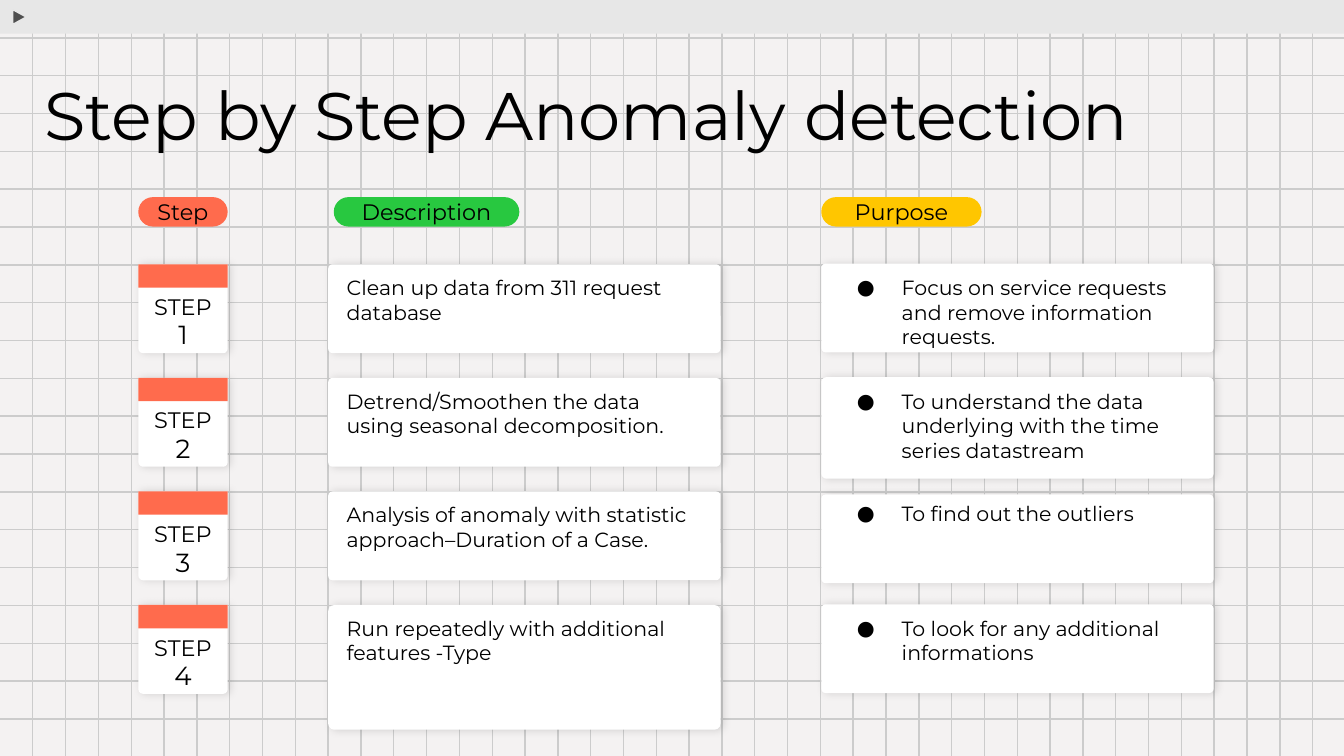
from lxml import etree
from pptx import Presentation
from pptx.dml.color import RGBColor
from pptx.enum import shapes as es, text as et
from pptx.oxml import ns
from pptx.util import Pt

FONT = "Montserrat"
BLACK = RGBColor(0x00, 0x00, 0x00)
WHITE = RGBColor(0xFF, 0xFF, 0xFF)
PAPER = RGBColor(0xF4, 0xF2, 0xF2)
RULE = RGBColor(0xCC, 0xCC, 0xCC)
BAR = RGBColor(0xE7, 0xE7, 0xE7)
DARK = RGBColor(0x4F, 0x4F, 0x4F)
CORAL = RGBColor(0xFF, 0x6B, 0x4D)
GREEN = RGBColor(0x28, 0xC8, 0x40)
GOLD = RGBColor(0xFF, 0xC6, 0x00)

KIND = es.MSO_SHAPE
LEFT, MID = et.PP_ALIGN.LEFT, et.PP_ALIGN.CENTER
WIDE, HIGH = 720, 405
TOP, PITCH, CARD = 141.6, 60.84, 47.6
STEP_X, DESC_X, GOAL_X = 74.1, 175.8, 440
HEADS = [
    ("Step", CORAL, STEP_X, 47.9),
    ("Description", GREEN, 178.8, 99.4),
    ("Purpose", GOLD, GOAL_X, 85.9),
]
ROWS = [
    ("Clean up data from 311 request database", CARD,
     "Focus on service requests and remove information requests.", 0, CARD, 54.6),
    ("Detrend/Smoothen the data using seasonal decomposition.", CARD,
     "To understand the data underlying with the time series datastream", 0, 54.4, 54.6),
    ("Analysis of anomaly with statistic approach–Duration of a Case.", CARD,
     "To find out the outliers", 2, CARD, 41),
    ("Run repeatedly with additional features -Type", 66.8,
     "To look for any additional informations", 0, CARD, 41),
]


def sub(node, tag, **attrs):
    """Add a child element in the given namespace prefix."""
    return etree.SubElement(node, ns.qn(tag), attrs)


def block(host, kind, box, fill, adj=()):
    """Add a filled shape with no line and no shadow."""
    shape = host.add_shape(kind, *map(Pt, box))
    shape.shadow.inherit = False
    shape.fill.solid()
    shape.fill.fore_color.rgb = fill
    shape.line.fill.background()
    for i, value in enumerate(adj):
        shape.adjustments[i] = value
    return shape


def shade(shape):
    """Give a shape a soft shadow to its right."""
    list_ = shape.element.spPr.find(ns.qn("a:effectLst"))
    outer = sub(list_, "a:outerShdw", blurRad=str(Pt(4.5)), dist=str(Pt(1.5)),
                dir="0", algn="bl", rotWithShape="0")
    tint = sub(outer, "a:srgbClr", val="000000")
    sub(tint, "a:alpha", val="12000")


def write(shape, words, size, align=LEFT, anchor=et.MSO_ANCHOR.TOP):
    """Set and format one paragraph in a shape and return it."""
    frame = shape.text_frame
    frame.text = words
    frame.word_wrap = True
    frame.vertical_anchor = anchor
    frame.margin_left = frame.margin_right = Pt(7.2)
    frame.margin_top = frame.margin_bottom = Pt(7.2)
    para = frame.paragraphs[0]
    para.alignment = align
    font = para.runs[0].font
    font.name, font.size, font.color.rgb = FONT, Pt(size), BLACK
    return para


def label(host, box, words, size, align=LEFT):
    """Add a text box that grows with its text."""
    shape = host.add_textbox(*map(Pt, box))
    para = write(shape, words, size, align)
    shape.text_frame.auto_size = et.MSO_AUTO_SIZE.SHAPE_TO_FIT_TEXT
    return para


def dot(para):
    """Turn a paragraph into a bullet with a hanging indent."""
    props = para._p.get_or_add_pPr()
    props.set("marL", str(Pt(36)))
    props.set("indent", str(Pt(-24)))
    sub(sub(props, "a:buClr"), "a:srgbClr", val="000000")
    sub(props, "a:buFont", typeface=FONT)
    sub(props, "a:buChar", char="●")


def rule(host, *ends):
    """Draw one grid line."""
    line = host.add_connector(es.MSO_CONNECTOR.STRAIGHT, *map(Pt, ends))
    line.line.color.rgb = RULE
    line.line.width = Pt(0.75)
    sub(line.element.spPr, "a:effectLst")


def grid(host, wide, high):
    """Draw the squared paper and the bar on top of it."""
    lines = host.add_group_shape().shapes
    for i in range(19, 0, -1):
        rule(lines, 0, i * 20.27, wide, i * 20.27)
    for i in range(40, 0, -1):
        rule(lines, i * 17.58, 0, i * 17.58, high)
    block(host, KIND.RECTANGLE, (0, 0, wide, 18), BAR)
    mark = block(host, KIND.ISOSCELES_TRIANGLE, (6.5, 5.5, 7.9, 7.2), DARK)
    mark.rotation = 90
    mark.line.color.rgb = BAR
    mark.line.width = Pt(0.75)


def head(title, box):
    """Place the title in front of the grid."""
    title.element.getparent().append(title.element)
    title.left, title.top, title.width, title.height = map(Pt, box)
    para = write(title, "Step by Step Anomaly detection", 36)
    para.line_spacing = 0.9
    title.text_frame.auto_size = et.MSO_AUTO_SIZE.SHAPE_TO_FIT_TEXT


def pill(host, box, words, fill):
    """Draw a column heading."""
    shape = block(host, KIND.ROUNDED_RECTANGLE, box, fill, [0.5])
    write(shape, words, 12, MID, et.MSO_ANCHOR.MIDDLE)


def badge(host, box, count):
    """Draw a numbered step card with a coloured band."""
    x, y, w, h = box
    group = host.add_group_shape().shapes
    base = block(group, KIND.ROUND_2_SAME_RECTANGLE, box, WHITE, [0.053, 0])
    base.rotation = 180
    shade(base)
    block(group, KIND.RECTANGLE, (x, y, w, 12.5), CORAL)
    label(group, (x, y + 8.2, w, 28.8), "STEP", 12, MID)
    label(group, (x, y + 22, w, 31.7), str(count), 14, MID)


def card(host, box):
    """Draw a white card with a shadow."""
    shade(block(host, KIND.ROUNDED_RECTANGLE, box, WHITE, [0.049]))


def row(host, y, count, desc, tall, goal, drop, deep, room):
    """Place one step with its description and purpose."""
    badge(host, (STEP_X, y, 47.9, CARD), count)
    card(host, (DESC_X, y, 210.2, tall))
    card(host, (GOAL_X, y - 0.4 + drop, 210.2, deep))
    label(host, (178.6, y - 1.4, 200.2, 41), desc, 11)
    dot(label(host, (GOAL_X, y - 1.4, 210.2, room), goal, 11))


def main():
    """Build the slide and save it."""
    deck = Presentation()
    deck.slide_width, deck.slide_height = Pt(WIDE), Pt(HIGH)
    slide = deck.slides.add_slide(deck.slide_layouts[5])
    slide.background.fill.solid()
    slide.background.fill.fore_color.rgb = PAPER
    host = slide.shapes
    grid(host, WIDE, HIGH)
    head(host.title, (16.6, 36.7, 676.8, 92.9))
    for words, fill, x, w in HEADS:
        pill(host, (x, 105.6, w, 15.8), words, fill)
    for i, parts in enumerate(ROWS):
        row(host, TOP + i * PITCH, i + 1, *parts)
    deck.save("out.pptx")


if __name__ == "__main__":
    main()
